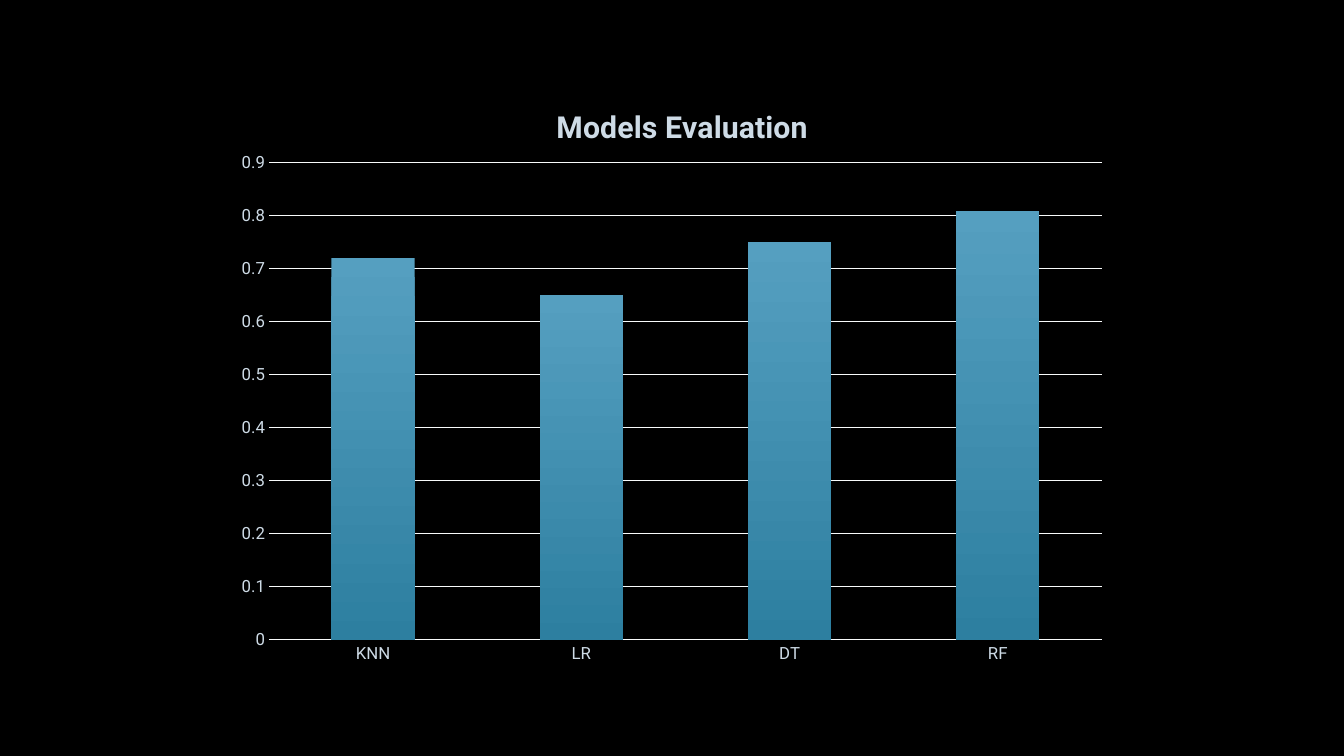
import pptx
import pptx.chart.data
import pptx.dml.color
import pptx.enum.chart
import pptx.oxml
import pptx.oxml.ns
import pptx.util

RGBColor = pptx.dml.color.RGBColor
BLACK = RGBColor(0x00, 0x00, 0x00)
WHITE = RGBColor(0xFF, 0xFF, 0xFF)
PALE_BLUE = RGBColor(0xCE, 0xDB, 0xE6)
GRID = RGBColor(0xF8, 0xFA, 0xFB)
BLUE_TOP = RGBColor(0x55, 0x9F, 0xC0)
BLUE_BOTTOM = RGBColor(0x2D, 0x7F, 0xA0)
TEAL_TOP = RGBColor(0x6F, 0xBE, 0xC6)
TEAL_BOTTOM = RGBColor(0x47, 0xA0, 0xAA)
GREEN_TOP = RGBColor(0x87, 0xC4, 0xB1)
GREEN_BOTTOM = RGBColor(0x5D, 0xAB, 0x93)
FONT = "Roboto"
PX = 914400 / 100.8
CHART_LEFT, CHART_TOP, CHART_WIDTH, CHART_HEIGHT = 224, 80, 896, 598


def px(length):
    return pptx.util.Emu(round(length * PX))


def manual_layout(left, top, size=None, inner=False):
    parts = {"xMode": "edge", "yMode": "edge",
             "x": (left - CHART_LEFT) / CHART_WIDTH,
             "y": (top - CHART_TOP) / CHART_HEIGHT}
    if inner:
        parts = {"layoutTarget": "inner", **parts}
    if size:
        parts["w"] = size[0] / CHART_WIDTH
        parts["h"] = size[1] / CHART_HEIGHT
    body = "".join(f'<c:{tag} val="{value}"/>' for tag, value in parts.items())
    return pptx.oxml.parse_xml(
        f'<c:layout {pptx.oxml.ns.nsdecls("c")}>'
        f"<c:manualLayout>{body}</c:manualLayout></c:layout>")


deck = pptx.Presentation()
deck.slide_width = px(1344)
deck.slide_height = px(756)
page = deck.slides.add_slide(deck.slide_layouts[6])
page.background.fill.solid()
page.background.fill.fore_color.rgb = BLACK

scores = pptx.chart.data.CategoryChartData()
scores.categories = ["KNN", "LR", "DT", "RF"]
scores.add_series("Series 1", [0.72, 0.65, 0.75, 0.81])
scores.add_series("Series 2", [None] * 4)
scores.add_series("Series 3", [None] * 4)

frame = page.shapes.add_chart(
    pptx.enum.chart.XL_CHART_TYPE.COLUMN_STACKED,
    px(CHART_LEFT), px(CHART_TOP), px(CHART_WIDTH), px(CHART_HEIGHT), scores)
chart = frame.chart
chart.has_legend = False
chart.font.name = FONT
chart.font.size = pptx.util.Pt(10)
chart.font.color.rgb = WHITE

chart.has_title = True
title = chart.chart_title
title.include_in_layout = False
para = title.text_frame.paragraphs[0]
para.text = "Models Evaluation"
para.font.name = FONT
para.font.size = pptx.util.Pt(21.6)
para.font.bold = True
para.font.color.rgb = PALE_BLUE
title_xml = title._element
for old in title_xml.findall(pptx.oxml.ns.qn("c:layout")):
    title_xml.remove(old)
title_xml.find(pptx.oxml.ns.qn("c:tx")).addnext(manual_layout(551, 101))

plot_xml = chart._chartSpace.chart.plotArea
for old in plot_xml.findall(pptx.oxml.ns.qn("c:layout")):
    plot_xml.remove(old)
plot_xml.insert(0, manual_layout(269, 163, (833, 477), inner=True))

for axis in (chart.category_axis, chart.value_axis):
    axis.major_tick_mark = pptx.enum.chart.XL_TICK_MARK.NONE
    axis.minor_tick_mark = pptx.enum.chart.XL_TICK_MARK.NONE
    axis.tick_labels.font.name = FONT
    axis.tick_labels.font.size = pptx.util.Pt(12)
    axis.tick_labels.font.color.rgb = PALE_BLUE

chart.value_axis.minimum_scale = 0
chart.value_axis.maximum_scale = 0.9
chart.value_axis.major_unit = 0.1
chart.value_axis.has_major_gridlines = True
chart.value_axis.format.line.fill.background()
for line in (chart.category_axis.format.line,
             chart.value_axis.major_gridlines.format.line):
    line.color.rgb = GRID
    line.width = pptx.util.Pt(0.75)

plot = chart.plots[0]
plot.gap_width = 150
plot.overlap = 100
plot.vary_by_categories = False
gradients = [(BLUE_TOP, BLUE_BOTTOM), (TEAL_TOP, TEAL_BOTTOM),
             (GREEN_TOP, GREEN_BOTTOM)]
for series, colors in zip(plot.series, gradients):
    fill = series.format.fill
    fill.gradient()
    fill.gradient_angle = 270
    for stop, color in zip(fill.gradient_stops, colors):
        stop.color.rgb = color

deck.save("out.pptx")
